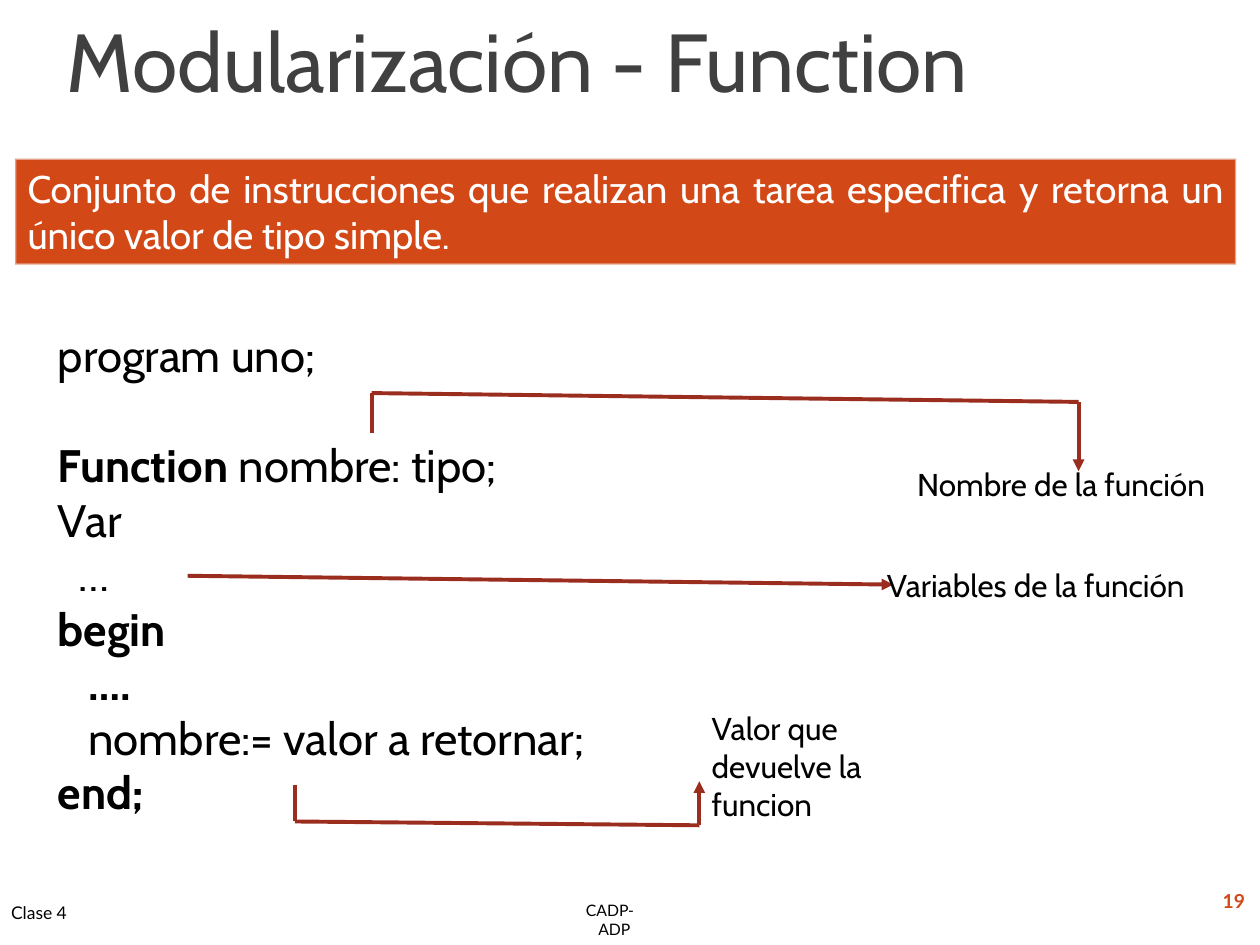
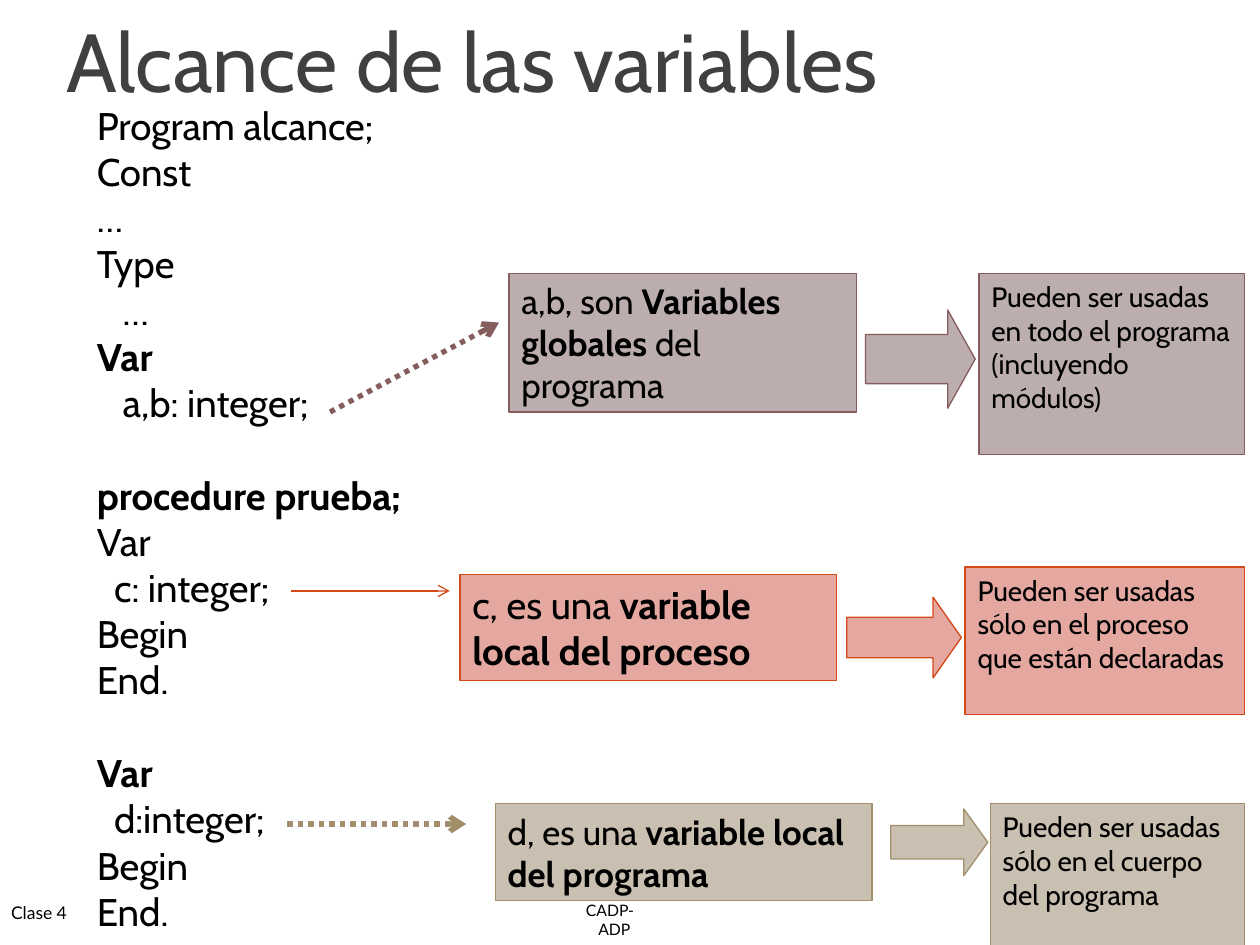
from dataclasses import dataclass
from itertools import pairwise
from typing import NamedTuple

from lxml.etree import SubElement
from pptx import Presentation
from pptx.dml.color import RGBColor
from pptx.enum.dml import MSO_LINE
from pptx.enum.shapes import MSO_CONNECTOR, MSO_SHAPE
from pptx.enum.text import MSO_ANCHOR, MSO_AUTO_SIZE, PP_ALIGN
from pptx.oxml.ns import qn
from pptx.util import Inches, Pt

WIDTH, HEIGHT = Inches(10), Inches(7.5)
COLUMNS, ROWS = 100, 75
TITLE_ONLY = 5

BLACK, WHITE, GREY = "000000", "FFFFFF", "404040"
ORANGE, BRICK, PALE = "D34817", "9B2D1F", "F9F9F9"
HEADING_FONT, FOOTER_FONT = "Cabin", "Lato"
BLANK_LINE = 1.21  # height of a skipped code line, in font sizes


class Area(NamedTuple):
    """Left, top, width and height in grid columns and rows."""
    left: float
    top: float
    width: float
    height: float

    def place(self) -> tuple[int, int, int, int]:
        return (*grid_point(self.left, self.top), *grid_point(self.width, self.height))


@dataclass(frozen=True)
class TextStyle:
    size: float
    colour: str = BLACK
    font: str = HEADING_FONT
    align: PP_ALIGN = PP_ALIGN.LEFT
    anchor: MSO_ANCHOR = MSO_ANCHOR.TOP
    line_spacing: float | None = None


@dataclass(frozen=True)
class Stroke:
    colour: str
    width: float = 0.75
    dash: MSO_LINE | None = None
    head: str = "arrow"


@dataclass(frozen=True)
class Scope:
    """A note on a variable, the pointer to it, and where it can be used."""
    fill: str
    pointer: Stroke
    pointer_ends: list[tuple[float, float]]
    note: str
    note_size: float
    note_area: Area
    arrow_area: Area
    arrow_tip: float
    usage: str
    usage_area: Area


TITLE_AREA = Area(4.3, 1.5, 89.8, 8.4)
TITLE_STYLE = TextStyle(47, GREY, line_spacing=0.85)
LESSON_STYLE = TextStyle(10, font=FOOTER_FONT, anchor=MSO_ANCHOR.MIDDLE)
COURSE_STYLE = TextStyle(9, font=FOOTER_FONT, align=PP_ALIGN.RIGHT, anchor=MSO_ANCHOR.MIDDLE)
NUMBER_STYLE = TextStyle(11, ORANGE, FOOTER_FONT, PP_ALIGN.RIGHT, MSO_ANCHOR.MIDDLE)
LABEL_STYLE = TextStyle(18)

FUNCTION_CODE = """program uno;

**Function **nombre: tipo;
Var
  …
**begin**
**   ….**
   nombre:= valor a retornar;
**end;**"""

SCOPE_CODE = """Program alcance;
Const
…
Type
   …
**Var**
   a,b: integer;

**procedure prueba;**
Var
  c: integer;
Begin
End.

**Var**
  d:integer;
Begin
End."""

CALLOUT_STROKE = Stroke(BRICK, 2.25, head="triangle")
CALLOUTS = [
    ("Nombre de la función", Area(71.8, 36.4, 27.5, 4),
     [(29.5, 34.4), (29.5, 31.2), (85.6, 31.9), (85.6, 37.4)]),
    ("Variables de la función", Area(69.4, 44.4, 28.5, 4),
     [(14.9, 45.7), (70.9, 46.4)]),
    ("Valor que devuelve la funcion", Area(55.5, 55.8, 21.4, 10),
     [(23.4, 62.3), (23.4, 65.2), (55.5, 65.5), (55.5, 62)]),
]

SCOPES = [
    Scope("BCAEAE", Stroke("855D5D", 3, MSO_LINE.ROUND_DOT), [(26.2, 32.7), (39.6, 25.6)],
          "a,b, son **Variables globales** del programa", 20, Area(40.4, 21.7, 27.6, 11),
          Area(68.7, 24.6, 8.7, 7.8), 0.28,
          "Pueden ser usadas en todo el programa (incluyendo módulos)",
          Area(77.7, 21.7, 21.1, 14.4)),
    Scope("E4A8A1", Stroke(ORANGE), [(23.1, 46.9), (35.7, 46.9)],
          "c, es una **variable local del proceso**", 22, Area(36.5, 45.6, 29.9, 8.4),
          Area(67.2, 47.4, 9.1, 6.4), 0.35,
          "Pueden ser usadas sólo en el proceso que están declaradas",
          Area(76.6, 45, 22.2, 11.7)),
    Scope("C9C0B2", Stroke("A28E6A", 3, MSO_LINE.ROUND_DOT), [(22.8, 65.4), (37, 65.4)],
          "d, es una **variable local del programa**", 20, Area(39.3, 63.8, 29.9, 7.7),
          Area(70.7, 64.2, 7.7, 5.3), 0.36,
          "Pueden ser usadas sólo en el cuerpo del programa",
          Area(78.6, 63.8, 20.2, 11.7)),
]


def grid_point(column: float, row: float) -> tuple[int, int]:
    return round(WIDTH * column / COLUMNS), round(HEIGHT * row / ROWS)


def rgb(colour: str) -> RGBColor:
    return RGBColor.from_string(colour)


def write(shape, text: str, style: TextStyle) -> None:
    """Fill a shape; ** switches bold, and an empty line becomes space before the next."""
    frame = shape.text_frame
    frame.word_wrap = True
    frame.auto_size = MSO_AUTO_SIZE.NONE
    frame.vertical_anchor = style.anchor
    frame.margin_left = frame.margin_right = Inches(0.1)
    frame.margin_top = frame.margin_bottom = Inches(0.05)
    lines = text.split("\n")
    frame.text = "\n".join(line.replace("**", "") for line in lines if line)
    paragraphs = iter(frame.paragraphs)
    skipped = False
    for line in lines:
        if not line:
            skipped = True
            continue
        para = next(paragraphs)
        para.alignment = style.align
        para.line_spacing = style.line_spacing
        para.space_before = Pt(style.size * BLANK_LINE if skipped else 0)
        skipped = False
        if "**" in line:
            para.clear()
            for index, part in enumerate(line.split("**")):
                if part:
                    span = para.add_run()
                    span.text = part
                    span.font.bold = index % 2 == 1
        for span in para.runs:
            span.font.name = style.font
            span.font.size = Pt(style.size)
            span.font.color.rgb = rgb(style.colour)


def add_text(page, area: Area, text: str, style: TextStyle) -> None:
    write(page.shapes.add_textbox(*area.place()), text, style)


def add_block(page, kind: MSO_SHAPE, area: Area, fill: str, outline: str, width: float = 0.75):
    block = page.shapes.add_shape(kind, *area.place())
    block.shadow.inherit = False
    block.fill.solid()
    block.fill.fore_color.rgb = rgb(fill)
    block.line.color.rgb = rgb(outline)
    block.line.width = Pt(width)
    return block


def add_pointer(page, points: list[tuple[float, float]], stroke: Stroke) -> None:
    """Draw straight legs through the points, with an arrowhead at the last one."""
    for start, end in pairwise(points):
        leg = page.shapes.add_connector(
            MSO_CONNECTOR.STRAIGHT, *grid_point(*start), *grid_point(*end))
        leg.line.color.rgb = rgb(stroke.colour)
        leg.line.width = Pt(stroke.width)
        if stroke.dash:
            leg.line.dash_style = stroke.dash
        if end == points[-1]:
            SubElement(leg.line._get_or_add_ln(), qn("a:tailEnd"), type=stroke.head)
        SubElement(leg._element.spPr, qn("a:effectLst"))


def add_page(deck, title: str):
    """Add a slide with the shared title and footers."""
    page = deck.slides.add_slide(deck.slide_layouts[TITLE_ONLY])
    heading = page.shapes.title
    heading.left, heading.top, heading.width, heading.height = TITLE_AREA.place()
    write(heading, title, TITLE_STYLE)
    add_text(page, Area(-0.1, 70.4, 8.4, 4.1), "Clase 4", LESSON_STYLE)
    add_text(page, Area(42.9, 71, 8.4, 4), "CADP- ADP ", COURSE_STYLE)
    return page


def add_function_page(deck) -> None:
    page = add_page(deck, "Modularización - Function")
    add_text(page, Area(87.2, 69.5, 12.6, 4), "**19**", NUMBER_STYLE)
    add_text(page, Area(3.6, 25.5, 50.9, 40), FUNCTION_CODE, TextStyle(26))
    banner = add_block(page, MSO_SHAPE.RECTANGLE, Area(1.2, 12.6, 96.9, 8.4), ORANGE, PALE, 1.36)
    outline_colour = banner.line._get_or_add_ln().find(".//" + qn("a:srgbClr"))
    SubElement(outline_colour, qn("a:alpha"), val="50000")
    write(banner, "Conjunto de instrucciones que realizan una tarea especifica "
                  "y retorna un único valor de tipo simple.",
          TextStyle(22, WHITE, align=PP_ALIGN.JUSTIFY))
    for label, area, points in CALLOUTS:
        add_pointer(page, points, CALLOUT_STROKE)
        add_text(page, area, label, LABEL_STYLE)


def add_scope_page(deck) -> None:
    page = add_page(deck, "Alcance de las variables")
    for scope in SCOPES:
        outline = scope.pointer.colour
        note = add_block(page, MSO_SHAPE.RECTANGLE, scope.note_area, scope.fill, outline)
        write(note, scope.note, TextStyle(scope.note_size))
        add_pointer(page, scope.pointer_ends, scope.pointer)
        arrow = add_block(page, MSO_SHAPE.RIGHT_ARROW, scope.arrow_area, scope.fill, outline)
        arrow.adjustments[1] = scope.arrow_tip
        usage = add_block(page, MSO_SHAPE.RECTANGLE, scope.usage_area, scope.fill, outline)
        write(usage, scope.usage, TextStyle(16))
    add_text(page, Area(6.7, 7.6, 30.7, 67), SCOPE_CODE, TextStyle(22))


def main() -> None:
    deck = Presentation()
    deck.slide_width, deck.slide_height = WIDTH, HEIGHT
    add_function_page(deck)
    add_scope_page(deck)
    deck.save("out.pptx")


if __name__ == "__main__":
    main()
